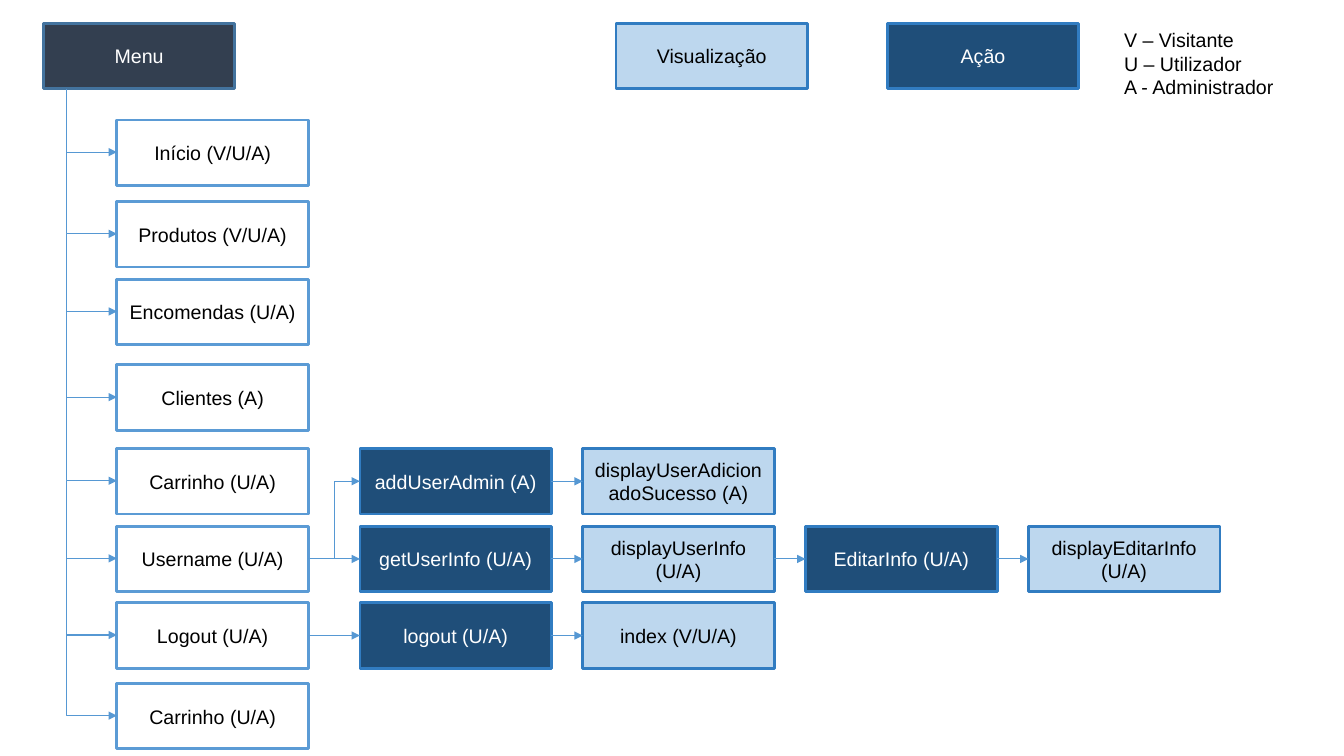
from lxml.etree import SubElement
from pptx import Presentation
from pptx.dml.color import RGBColor
from pptx.enum.shapes import MSO_CONNECTOR, MSO_SHAPE
from pptx.enum.text import MSO_ANCHOR, MSO_AUTO_SIZE, PP_ALIGN
from pptx.oxml.ns import qn
from pptx.util import Emu, Pt

EMU_PER_PX = 9144  # 100 px to the inch
BOX_WIDTH, BOX_HEIGHT = 190, 65

# Box kinds: fill, border, text
MENU = ("333F50", "43739E", "FFFFFF")
PAGE = ("FFFFFF", "5B9BD5", "000000")
VIEW = ("BDD7EE", "317CC1", "000000")
ACTION = ("1F4E79", "317CC1", "FFFFFF")


def px(length):
    return Emu(int(length * EMU_PER_PX))


def color(hex_string):
    return RGBColor.from_string(hex_string)


class Diagram:
    font = "Arial"
    text_size = Pt(14)
    border_width = Pt(2)
    arrow_color = "5698D3"
    arrow_width = Pt(0.75)

    def __init__(self, slide):
        self.shapes = slide.shapes

    def set_text(self, frame, text, text_color, align):
        frame.word_wrap = True
        frame.text = text
        for paragraph in frame.paragraphs:
            paragraph.alignment = align
            for run in paragraph.runs:
                run.font.name = self.font
                run.font.size = self.text_size
                run.font.color.rgb = color(text_color)

    def box(self, left, top, text, kind):
        fill, border, text_color = kind
        box = self.shapes.add_shape(MSO_SHAPE.RECTANGLE, px(left), px(top),
                                    px(BOX_WIDTH), px(BOX_HEIGHT))
        box.shadow.inherit = False
        box.fill.solid()
        box.fill.fore_color.rgb = color(fill)
        box.line.color.rgb = color(border)
        box.line.width = self.border_width
        box.text_frame.vertical_anchor = MSO_ANCHOR.MIDDLE
        self.set_text(box.text_frame, text, text_color, PP_ALIGN.CENTER)
        return box

    def note(self, left, top, width, height, text):
        note = self.shapes.add_textbox(px(left), px(top), px(width), px(height))
        self.set_text(note.text_frame, text, "000000", PP_ALIGN.LEFT)
        note.text_frame.auto_size = MSO_AUTO_SIZE.SHAPE_TO_FIT_TEXT

    def style_arrow(self, arrow):
        arrow.line.color.rgb = color(self.arrow_color)
        arrow.line.width = self.arrow_width
        properties = arrow._element.spPr
        SubElement(properties.find(qn("a:ln")), qn("a:tailEnd"), type="triangle")
        SubElement(properties, qn("a:effectLst"))

    def join(self, source, target, kind=MSO_CONNECTOR.STRAIGHT):
        """Arrow from the right side of one box to the left side of another."""
        arrow = self.shapes.add_connector(kind, 0, 0, 0, 0)
        arrow.begin_connect(source, 3)
        arrow.end_connect(target, 1)
        self.style_arrow(arrow)

    def branch(self, left, top, right, bottom):
        """Arrow that runs down, then right: a turned and flipped two-part elbow."""
        run, drop = right - left, bottom - top
        center_x, center_y = (left + right) / 2, (top + bottom) / 2
        arrow = self.shapes.add_connector(
            MSO_CONNECTOR.ELBOW,
            px(center_x + drop / 2), px(center_y - run / 2),
            px(center_x - drop / 2), px(center_y + run / 2))
        properties = arrow._element.spPr
        properties.find(qn("a:prstGeom")).set("prst", "bentConnector2")
        properties.find(qn("a:xfrm")).set("rot", str(270 * 60000))
        self.style_arrow(arrow)


def main():
    presentation = Presentation()
    presentation.slide_width, presentation.slide_height = px(1333), px(750)
    diagram = Diagram(presentation.slides.add_slide(presentation.slide_layouts[6]))

    # Menu and legend
    header_top = 23
    diagram.box(43, header_top, "Menu", MENU)
    diagram.box(611, header_top, "Visualização", VIEW)
    diagram.box(880, header_top, "Ação", ACTION)
    diagram.note(1105, header_top, 184, 81,
                 "V – Visitante\nU – Utilizador\nA - Administrador")

    # Menu entries, each hanging from the trunk
    entries = [
        (119, "Início (V/U/A)"),
        (200, "Produtos (V/U/A)"),
        (277, "Encomendas (U/A)"),
        (362, "Clientes (A)"),
        (445, "Carrinho (U/A)"),
        (522, "Username (U/A)"),
        (598, "Logout (U/A)"),
        (678, "Carrinho (U/A)"),
    ]
    trunk_x, entry_left = 66, 116
    trunk_y = header_top + BOX_HEIGHT
    pages = {}
    for top, text in entries:
        pages[top] = diagram.box(entry_left, top, text, PAGE)
        middle = top + BOX_HEIGHT // 2
        diagram.branch(trunk_x, trunk_y, entry_left, middle)
        trunk_y = middle

    # Flows: actions and views alternate along each row
    flows = {
        445: ["addUserAdmin (A)", "displayUserAdicionadoSucesso (A)"],
        522: ["getUserInfo (U/A)", "displayUserInfo (U/A)",
              "EditarInfo (U/A)", "displayEditarInfo (U/A)"],
        598: ["logout (U/A)", "index (V/U/A)"],
    }
    flow_left, flow_step = 357, 221
    first_steps = {}
    for top, texts in flows.items():
        steps = [diagram.box(flow_left + i * flow_step, top, text,
                             (ACTION, VIEW)[i % 2])
                 for i, text in enumerate(texts)]
        first_steps[top] = steps[0]
        for source, target in zip(steps, steps[1:]):
            diagram.join(source, target)

    # From the menu entries into the flows
    diagram.join(pages[522], first_steps[445], MSO_CONNECTOR.ELBOW)
    diagram.join(pages[522], first_steps[522])
    diagram.join(pages[598], first_steps[598])

    presentation.save("out.pptx")


if __name__ == "__main__":
    main()
